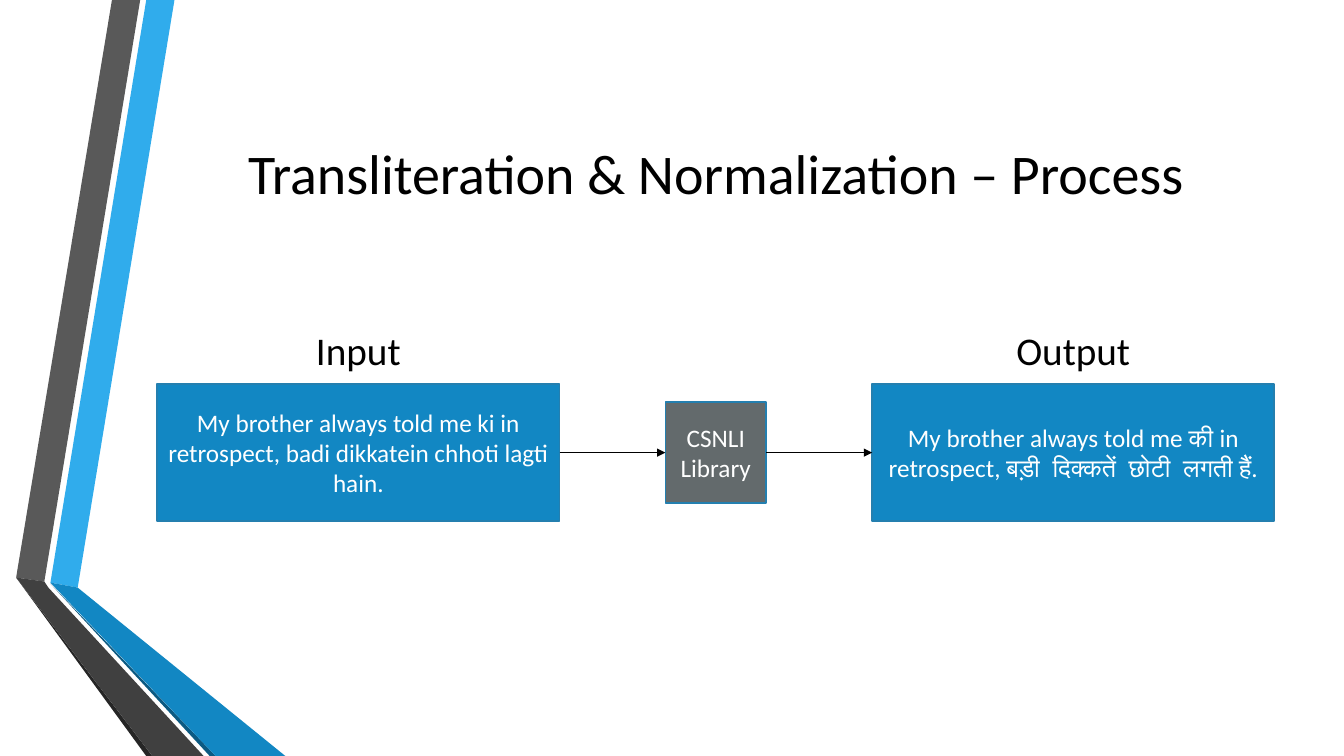
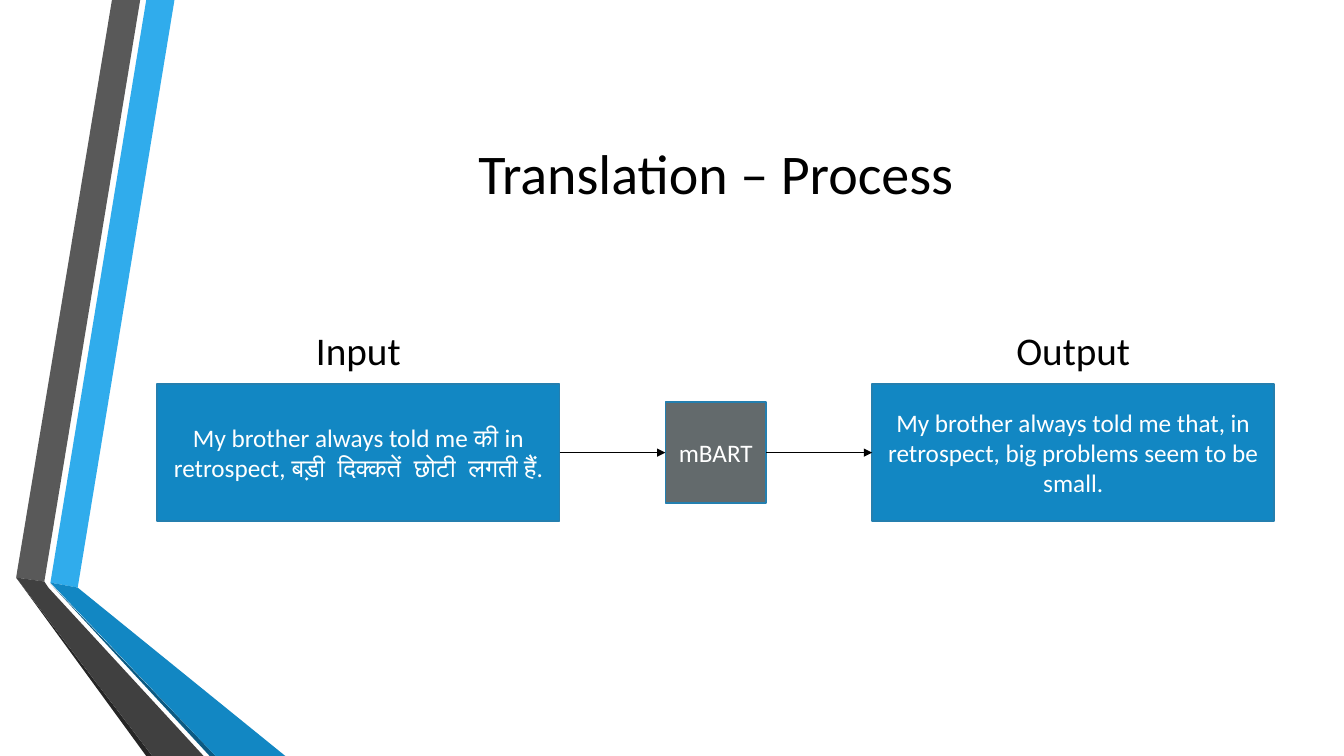
from itertools import pairwise

from lxml import etree
from pptx import Presentation
from pptx import util as u
from pptx.dml.color import RGBColor
from pptx.enum import shapes, text
from pptx.oxml.ns import qn

COLORS = {
    "ink": "000000", "paper": "FFFFFF", "edge": "247FAF", "model": "636A6C",
    "blue": "1287C3", "light_blue": "30ACEC", "deep_blue": "0C5A82",
    "gray": "595959", "dark_gray": "404040", "near_black": "262626",
}
FORMATS = {
    "title": {"size": u.Pt(40), "color": "ink", "wrap": True},
    "label": {"size": u.Pt(28), "color": "ink", "wrap": False},
    "stage": {"size": u.Pt(18), "color": "paper", "wrap": True},
}

deck = Presentation()
deck.slide_width, deck.slide_height = u.Inches(13.33), u.Inches(7.5)
COL, ROW = deck.slide_width / 100, deck.slide_height / 100


def place(left, top, width, height):
    return [round(v) for v in (left * COL, top * ROW, width * COL, height * ROW)]


def write(shape, words, style):
    look = FORMATS[style]
    frame = shape.text_frame
    frame.text = words
    frame_format = {"word_wrap": look["wrap"], "vertical_anchor": text.MSO_ANCHOR.MIDDLE}
    for name, value in frame_format.items():
        setattr(frame, name, value)
    line = frame.paragraphs[0]
    line.alignment = text.PP_ALIGN.CENTER
    font = line.runs[0].font
    for name, value in {"name": "Calibri", "size": look["size"]}.items():
        setattr(font, name, value)
    font.color.rgb = RGBColor.from_string(COLORS[look["color"]])


RIBBONS = [
    ("light_blue", [(3.75, 77.07), (5.78, 77.73), (12.98, 0), (10.88, 0)]),
    ("gray", [(10.43, 0), (8.33, 0), (1.2, 76.4), (3.3, 76.93)]),
    ("near_black", [(1.2, 76.4), (10.88, 100), (11.33, 100)]),
    ("deep_blue", [(3.75, 77.2), (15.6, 100), (16.05, 100)]),
    ("blue", [(3.75, 77.07), (16.05, 100), (21.23, 100), (5.78, 77.73)]),
    ("dark_gray", [(15.15, 100), (3.6, 77.73), (3.3, 76.93), (1.2, 76.4), (11.33, 100)]),
]
MIXED = "My brother always told me की in retrospect, बड़ी  दिक्कतें  छोटी  लगती हैं."
PROCESSES = [
    ("Transliteration & Normalization – Process",
     "My brother always told me ki in retrospect, badi dikkatein chhoti lagti hain.",
     "CSNLI Library", MIXED),
    ("Translation – Process", MIXED, "mBART",
     "My brother always told me that, in retrospect, big problems seem to be small."),
]
STAGES = [
    ("blue", 29.93, 18.13, "Input", 7.88),
    ("model", 7.5, 13.33, None, 0),
    ("blue", 29.93, 18.13, "Output", 10.35),
]
FLOW_LEFT, FLOW_MIDDLE, FLOW_GAP = 11.7, 59.87, 7.88
LABEL_TOP, LABEL_HEIGHT = 42.45, 7.6

layout = deck.slide_layouts.get_by_name("Title Only")
heading = layout.placeholders[0]
heading.left, heading.top, heading.width, heading.height = place(12.15, 10, 82.22, 25.6)
pages = [deck.slides.add_slide(layout) for process in PROCESSES]

for depth, (color, corners) in enumerate(RIBBONS):
    points = [(round(x * COL), round(y * ROW)) for x, y in corners]
    outline = pages[0].shapes.build_freeform(*points[0])
    outline.add_line_segments(points[1:], close=True)
    ribbon = outline.convert_to_shape()
    ribbon.shadow.inherit = False
    ribbon.fill.solid()
    ribbon.fill.fore_color.rgb = RGBColor.from_string(COLORS[color])
    ribbon.line.fill.background()
    layout.shapes.element.insert(2 + depth, ribbon.element)

for page, (title, *sentences) in zip(pages, PROCESSES):
    write(page.shapes.title, title, "title")
    left = FLOW_LEFT
    flow = []
    for (color, width, height, label, label_width), sentence in zip(STAGES, sentences):
        stage = page.shapes.add_shape(
            shapes.MSO_SHAPE.RECTANGLE, *place(left, FLOW_MIDDLE - height / 2, width, height))
        stage.shadow.inherit = False
        stage.fill.solid()
        stage.fill.fore_color.rgb = RGBColor.from_string(COLORS[color])
        stage.line.color.rgb = RGBColor.from_string(COLORS["edge"])
        stage.line.width = u.Pt(1.25)
        write(stage, sentence, "stage")
        flow.append(stage)
        if label:
            caption = page.shapes.add_textbox(
                *place(left + (width - label_width) / 2, LABEL_TOP, label_width, LABEL_HEIGHT))
            write(caption, label, "label")
        left += width + FLOW_GAP
    for source, target in pairwise(flow):
        arrow = page.shapes.add_connector(shapes.MSO_CONNECTOR.STRAIGHT, 0, 0, 0, 0)
        arrow.begin_connect(source, 3)
        arrow.end_connect(target, 1)
        arrow.line.color.rgb = RGBColor.from_string(COLORS["ink"])
        arrow.line.width = u.Pt(0.75)
        properties = arrow.element.spPr
        etree.SubElement(properties.find(qn("a:ln")), qn("a:tailEnd"), type="triangle")
        etree.SubElement(properties, qn("a:effectLst"))

deck.save("out.pptx")
